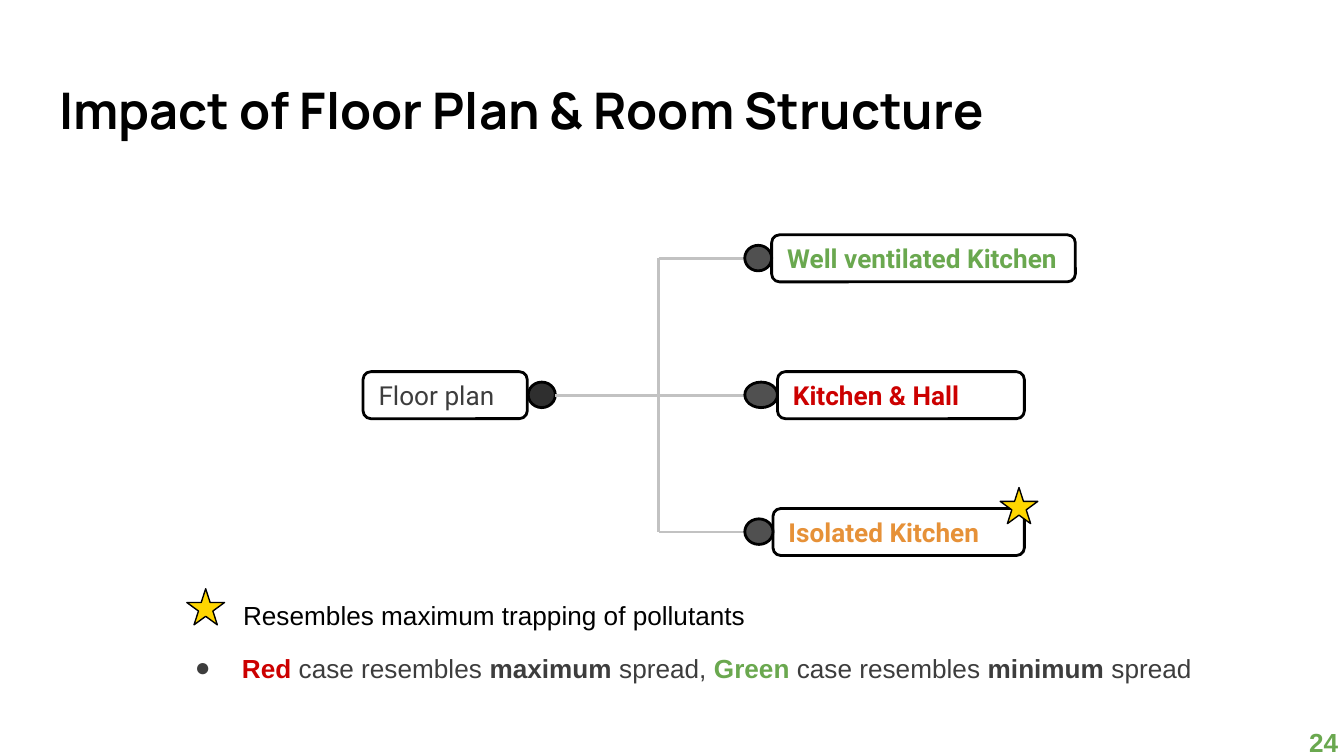
from lxml import etree
from pptx import Presentation
from pptx.dml.color import RGBColor
from pptx.enum.shapes import MSO_CONNECTOR, MSO_SHAPE
from pptx.enum.text import MSO_ANCHOR, MSO_AUTO_SIZE, PP_ALIGN
from pptx.oxml.ns import qn
from pptx.util import Pt

GREEN, RED, ORANGE = "6AA84F", "CC0000", "E69138"
BLACK, DARK, GRAY, WHITE = "000000", "3D3D3D", "C2C2C2", "FFFFFF"
BOX_HEIGHT = 25.2


def color(hex_value):
    """Turn a hex string into a colour."""
    return RGBColor.from_string(hex_value)


def place(shape, left, top, width, height):
    """Move and size a shape in points."""
    shape.left, shape.top = Pt(left), Pt(top)
    shape.width, shape.height = Pt(width), Pt(height)


def set_font(font, name, size, hex_value, bold=False):
    """Set the face, size, colour and weight of a font."""
    font.name, font.size, font.bold = name, Pt(size), bold
    font.color.rgb = color(hex_value)


def prepare_frame(frame, inset=7.2, anchor=MSO_ANCHOR.TOP):
    """Give a text frame equal insets, wrapping and an anchor."""
    frame.word_wrap = True
    frame.auto_size = MSO_AUTO_SIZE.NONE
    frame.vertical_anchor = anchor
    frame.margin_left = frame.margin_right = Pt(inset)
    frame.margin_top = frame.margin_bottom = Pt(inset)


def write(frame, text, name, size, hex_value, bold=False):
    """Fill a frame with one left-aligned paragraph."""
    paragraph = frame.paragraphs[0]
    paragraph.text = text
    paragraph.alignment = PP_ALIGN.LEFT
    set_font(paragraph.font, name, size, hex_value, bold)
    return paragraph


def add_outlined(slide, kind, left, top, width, height, fill=None, weight=1.5):
    """Add a black-outlined preset shape, filled or clear."""
    shape = slide.shapes.add_shape(kind, Pt(left), Pt(top), Pt(width), Pt(height))
    shape.shadow.inherit = False
    if fill:
        shape.fill.solid()
        shape.fill.fore_color.rgb = color(fill)
    else:
        shape.fill.background()
    shape.line.color.rgb = color(BLACK)
    shape.line.width = Pt(weight)
    return shape


def add_line(slide, x1, y1, x2, y2):
    """Add a gray connector that turns one corner when its ends are not level."""
    kind = MSO_CONNECTOR.STRAIGHT if y1 == y2 else MSO_CONNECTOR.ELBOW
    line = slide.shapes.add_connector(kind, Pt(x1), Pt(y1), Pt(x2), Pt(y2))
    line.line.color.rgb = color(GRAY)
    line.line.width = Pt(1.5)
    properties = line._element.spPr
    if y1 != y2:
        properties.find(qn("a:prstGeom")).set("prst", "bentConnector2")
    etree.SubElement(properties, qn("a:effectLst"))


def add_node(slide, text, left, top, width, hex_value, bold):
    """Add a rounded label box."""
    node = add_outlined(slide, MSO_SHAPE.ROUNDED_RECTANGLE, left, top, width, BOX_HEIGHT)
    prepare_frame(node.text_frame, anchor=MSO_ANCHOR.MIDDLE)
    write(node.text_frame, text, "Roboto", 14, hex_value, bold)


def add_star(slide, left, top):
    """Add the yellow star marker."""
    add_outlined(slide, MSO_SHAPE.STAR_5_POINT, left, top, 20.2, 19.4, "FFD600", 0.75)


def add_tree(slide, left, top):
    """Draw the floor plan and its three kitchen cases from a top-left corner."""
    pitch, trunk, junction, hub = 73.3, 103, 158.4, 204.5
    cases = [
        ("Well ventilated Kitchen", 218.9, 162.7, GREEN),
        ("Kitchen & Hall", 222, 132.3, RED),
        ("Isolated Kitchen", 219.6, 134.7, ORANGE),
    ]
    root_top = top + pitch
    root_y = root_top + BOX_HEIGHT / 2
    add_node(slide, "Floor plan", left, root_top, 88, DARK, False)
    add_outlined(slide, MSO_SHAPE.OVAL, left + 88.5, root_y - 7, 14.5, 13.7, "2F2F2F")
    for row, (text, offset, width, hex_value) in enumerate(cases):
        case_top = top + row * pitch
        case_y = case_top + BOX_HEIGHT / 2
        add_line(slide, left + trunk, root_y, left + junction, case_y)
        add_line(slide, left + junction, case_y, left + hub, case_y)
        add_node(slide, text, left + offset, case_top, width, hex_value, True)
        add_outlined(slide, MSO_SHAPE.OVAL, left + hub, case_y - 7,
                     offset - hub, 13.7, "505050")
    add_star(slide, left + 341.3, top + 135.4)


def add_legend(slide, body, left, top):
    """Place the star key and the bullet that explains the colours."""
    add_star(slide, left + 13.7, top + 1.4)
    key = slide.shapes.add_textbox(Pt(left + 36.7), Pt(top), Pt(296.6), Pt(31.7))
    prepare_frame(key.text_frame)
    write(key.text_frame, "Resembles maximum trapping of pollutants", "Arial", 14, BLACK)

    place(body, left, top + 28.1, 560, 31.7)
    prepare_frame(body.text_frame)
    paragraph = body.text_frame.paragraphs[0]
    properties = paragraph._p.get_or_add_pPr()
    properties.set("marL", str(Pt(36)))
    properties.set("indent", str(Pt(-25.2)))
    bullet_color = etree.SubElement(properties, qn("a:buClr"))
    etree.SubElement(bullet_color, qn("a:srgbClr"), val=DARK)
    etree.SubElement(properties, qn("a:buFont"), typeface="Arial")
    etree.SubElement(properties, qn("a:buChar"), char="●")
    paragraph.space_before = Pt(0)
    paragraph.alignment = PP_ALIGN.LEFT
    for text, hex_value, bold in [
        ("Red", RED, True), (" case resembles ", DARK, False),
        ("maximum ", DARK, True), ("spread, ", DARK, False),
        ("Green", GREEN, True), (" case resembles ", DARK, False),
        ("minimum", DARK, True), (" spread", DARK, False),
    ]:
        run = paragraph.add_run()
        run.text = text
        set_font(run.font, "Arial", 14, hex_value, bold)


def add_title(title, left, top, width, height):
    """Place and format the slide title."""
    place(title, left, top, width, height)
    prepare_frame(title.text_frame)
    write(title.text_frame, "Impact of Floor Plan & Room Structure",
          "Manrope", 27, BLACK, True)


def add_page_number(slide, left, top, width, height):
    """Add the page number in the corner."""
    number = slide.shapes.add_textbox(Pt(left), Pt(top), Pt(width), Pt(height))
    prepare_frame(number.text_frame, 0)
    paragraph = write(number.text_frame, "24", "Arial", 14, GREEN, True)
    paragraph.line_spacing = 1.15
    paragraph.space_after = Pt(12)


def main():
    """Build and save the slide."""
    deck = Presentation()
    deck.slide_width, deck.slide_height = Pt(720), Pt(405)
    slide = deck.slides.add_slide(deck.slide_layouts[1])
    slide.background.fill.solid()
    slide.background.fill.fore_color.rgb = color(WHITE)
    add_title(slide.shapes.title, 24.5, 35.3, 671, 49)
    add_tree(slide, 194.5, 125.8)
    add_legend(slide, slide.placeholders[1], 86.4, 314)
    add_page_number(slide, 701.3, 386.6, 18, 17.3)
    deck.save("out.pptx")


if __name__ == "__main__":
    main()
